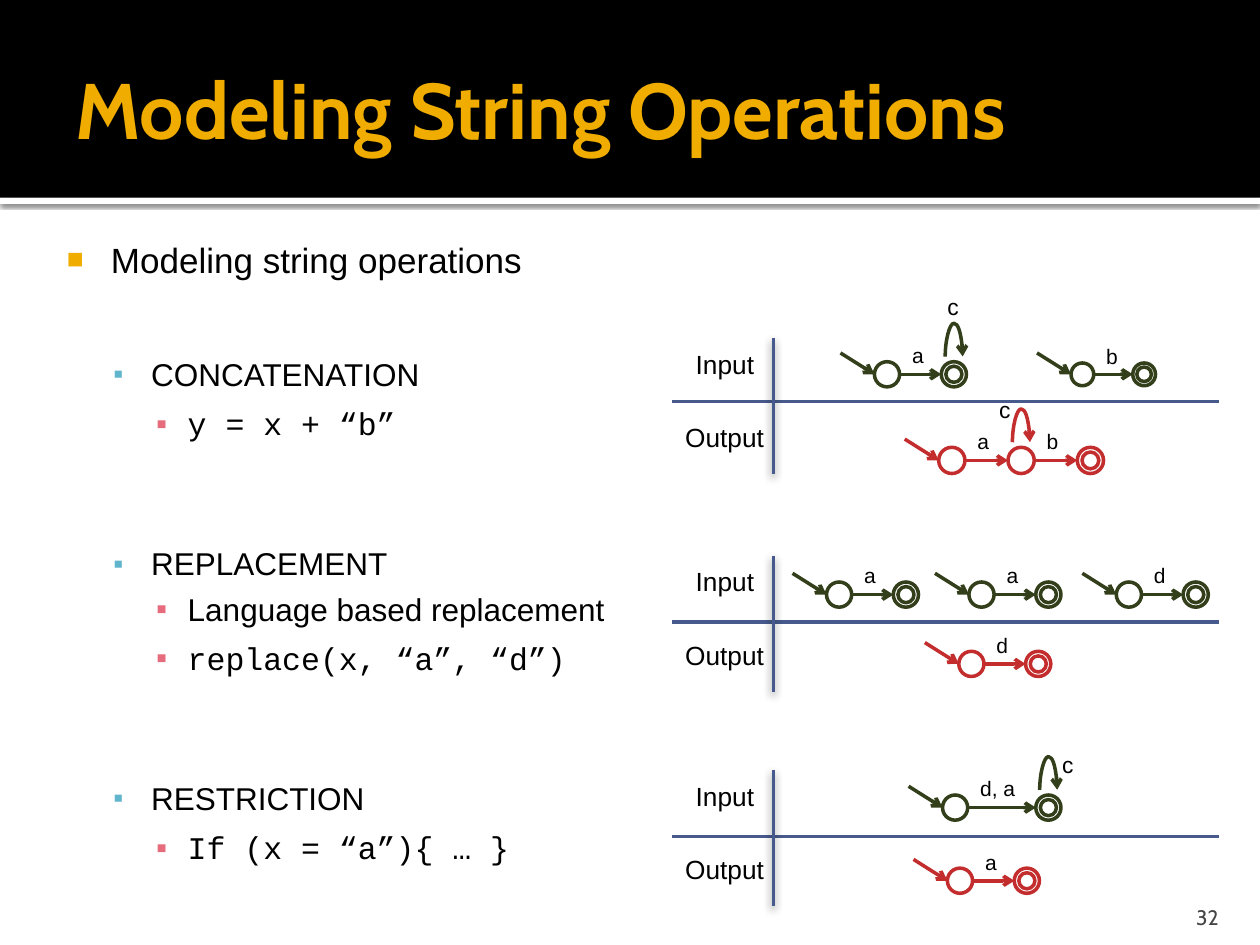
from lxml import etree
from pptx import Presentation
from pptx.dml.color import RGBColor
from pptx.enum.shapes import MSO_CONNECTOR, MSO_SHAPE
from pptx.enum.text import MSO_ANCHOR, PP_ALIGN
from pptx.oxml.ns import qn
from pptx.util import Pt

STRAIGHT, CURVE = MSO_CONNECTOR.STRAIGHT, MSO_CONNECTOR.CURVE
RECTANGLE, OVAL = MSO_SHAPE.RECTANGLE, MSO_SHAPE.OVAL
TOP, MIDDLE, BOTTOM = MSO_ANCHOR.TOP, MSO_ANCHOR.MIDDLE, MSO_ANCHOR.BOTTOM
LEFT, RIGHT = PP_ALIGN.LEFT, PP_ALIGN.RIGHT

BLACK = RGBColor(0x00, 0x00, 0x00)
WHITE = RGBColor(0xFF, 0xFF, 0xFF)
GOLD = RGBColor(0xF0, 0xAD, 0x00)
SKY = RGBColor(0x60, 0xB5, 0xCC)
PINK = RGBColor(0xE6, 0x6C, 0x7D)
NAVY = RGBColor(0x47, 0x5A, 0x8D)
OLIVE = RGBColor(0x33, 0x3F, 0x1A)
RED = RGBColor(0xC3, 0x2D, 0x2E)
GRAY = RGBColor(0x45, 0x45, 0x45)

SANS, MONO, HEADING = "Arial", "Courier New", "Cabin"

LEVELS = [
    (34.6, -25.2, "■", GOLD, 80, 20),
    (57.6, -21.6, "▪", SKY, 90, 18),
    (78.5, -18, "▪", PINK, 100, 18),
]
OUTLINE = [
    (0, "Modeling string operations", SANS, 0),
    (1, "CONCATENATION", SANS, 42.8),
    (2, "y = x + “b”", MONO, 6.5),
    (1, "REPLACEMENT", SANS, 58.5),
    (2, "Language based replacement", SANS, 4.4),
    (2, "replace(x, “a”, “d”)", MONO, 6.5),
    (1, "RESTRICTION", SANS, 58.5),
    (2, "If (x = “a”){ … }", MONO, 6.5),
]
PANELS = [
    (193, 36.5, [
        dict(left=115.7, top=13.7, labels=["a"], color=OLIVE, loop=(-3.6, -43.2)),
        dict(left=228, top=14.4, labels=["b"], color=OLIVE, step=35.3, size=13),
        dict(left=152.4, top=62.6, labels=["a", "b"], color=RED, step=39.6,
             size=15, loop=(-12.2, -33.1)),
    ]),
    (317.5, 38, [
        dict(left=88.3, top=15.1, labels=["a"], color=OLIVE),
        dict(left=169.7, top=15.1, labels=["a"], color=OLIVE),
        dict(left=253.9, top=15.1, labels=["d"], color=OLIVE),
        dict(left=163.9, top=54.7, labels=["d"], color=RED),
    ]),
    (440, 38, [
        dict(left=154.6, top=14.3, labels=["d, a"], color=OLIVE, step=53.3,
             loop=(7.9, -28.8)),
        dict(left=157.4, top=56.1, labels=["a"], color=RED),
    ]),
]


def add_effects(shape, blur=0, distance=0, opacity=0):
    """Give a shape a downward shadow, or none when the opacity is zero."""
    effects = etree.SubElement(shape._element.spPr, qn("a:effectLst"))
    if opacity:
        shadow = etree.SubElement(effects, qn("a:outerShdw"), blurRad=str(Pt(blur)),
                                  dist=str(Pt(distance)), dir="5400000",
                                  algn="t", rotWithShape="0")
        color = etree.SubElement(shadow, qn("a:srgbClr"), val=str(BLACK))
        etree.SubElement(color, qn("a:alpha"), val=str(opacity * 1000))


def add_line(shapes, start, end, color, arrow=False, kind=STRAIGHT, shadow=()):
    """Draw a connector between two points."""
    line = shapes.add_connector(kind, *map(Pt, (*start, *end)))
    line.line.color.rgb = color
    line.line.width = Pt(2)
    if arrow:
        etree.SubElement(line.line._get_or_add_ln(), qn("a:tailEnd"), type="arrow")
    add_effects(line, *shadow)
    return line


def add_text(shapes, box, text, size, font=SANS, color=BLACK, bold=False,
             insets=(7.2, 3.6, 7.2, 3.6), anchor=TOP, align=LEFT):
    """Place one line of styled text in a box."""
    frame = shapes.add_textbox(*map(Pt, box)).text_frame
    frame.word_wrap = True
    frame.vertical_anchor = anchor
    (frame.margin_left, frame.margin_top,
     frame.margin_right, frame.margin_bottom) = map(Pt, insets)
    frame.text = text
    para = frame.paragraphs[0]
    para.alignment = align
    style_runs(para, size, font, color, bold)


def style_runs(para, size, font, color, bold=False):
    """Format every run of a paragraph."""
    for span in para.runs:
        span.font.size = Pt(size)
        span.font.name = font
        span.font.color.rgb = color
        span.font.bold = bold


def add_banner(page, width, height):
    """Draw the black title band with its white lower edge and the title."""
    edge = page.shapes.add_shape(RECTANGLE, 0, Pt(height), Pt(width), Pt(3.6))
    band = page.shapes.add_shape(RECTANGLE, 0, 0, Pt(width), Pt(height))
    for shape, color in ((edge, WHITE), (band, BLACK)):
        shape.fill.solid()
        shape.fill.fore_color.rgb = color
        shape.line.fill.background()
    add_effects(edge, 2.5, 0.8, 60)
    band.shadow.inherit = False
    add_text(page.shapes, (36, 12.2, width - 72, 98.6), "Modeling String Operations",
             45, HEADING, GOLD, True, (7.2, 3.6, 3.6, 3.6), MIDDLE)


def add_outline(page, box):
    """Write the bulleted outline of string operations."""
    frame = page.shapes.add_textbox(*map(Pt, box)).text_frame
    frame.word_wrap = True
    frame.margin_left, frame.margin_top = Pt(4.3), Pt(7.2)
    for index, (level, text, font, gap) in enumerate(OUTLINE):
        para = frame.add_paragraph() if index else frame.paragraphs[0]
        margin, indent, bullet, color, percent, size = LEVELS[level]
        para.text = text
        para.level = level
        para.space_before = Pt(gap)
        style_runs(para, size, font, BLACK)
        props = para._p.get_or_add_pPr()
        props.set("marL", str(Pt(margin)))
        props.set("indent", str(Pt(indent)))
        tint = etree.SubElement(props, qn("a:buClr"))
        etree.SubElement(tint, qn("a:srgbClr"), val=str(color))
        etree.SubElement(props, qn("a:buSzPct"), val=str(percent * 1000))
        etree.SubElement(props, qn("a:buFont"), typeface=SANS)
        etree.SubElement(props, qn("a:buChar"), char=bullet)


def add_state(shapes, left, top, size, color):
    """Draw one state circle."""
    state = shapes.add_shape(OVAL, Pt(left), Pt(top), Pt(size), Pt(size))
    state.fill.solid()
    state.fill.fore_color.rgb = WHITE
    state.line.color.rgb = color
    state.line.width = Pt(2)
    state.shadow.inherit = False


def add_loop(page, left, top, size, color, label_offset):
    """Draw the self transition labelled c above a state."""
    center, middle, half_width, half_height = left + size / 2, top - 2.9, 0.06, 5
    loop = add_line(page.shapes, (center + half_width, middle + half_height),
                    (center - half_width, middle - half_height), color, True, CURVE)
    loop._element.spPr.find(qn("a:xfrm")).set("rot", "5400000")
    geometry = loop._element.spPr.find(qn("a:prstGeom"))
    guides = geometry.find(qn("a:avLst"))
    etree.SubElement(guides, qn("a:gd"), name="adj1", fmla="val 16800000")
    across, down = label_offset
    add_text(page.shapes, (left + across, top + down, 18, 38.9), "c", 13)


def add_automaton(page, left, top, labels, color, step=38.2, size=14.4, loop=None):
    """Draw a chain of states joined by labelled transitions."""
    shapes = page.shapes.add_group_shape().shapes
    middle = top + size / 2
    add_line(shapes, (left - 19.4, middle - 12.2), (left, middle), color, True)
    for index in range(len(labels) + 1):
        add_state(shapes, left + index * step, top, size, color)
    inset = size * 0.18
    add_state(shapes, left + len(labels) * step + inset, top + inset,
              size - 2 * inset, color)
    for index, label in enumerate(labels):
        start = left + index * step + size
        add_line(shapes, (start, middle), (start + step - size, middle), color, True)
        width = 18 if len(label) == 1 else 50
        add_text(shapes, (start, top - 14.4, width, 36), label, 12)
    if loop:
        add_loop(page, left + step, top, size, color, loop)


def add_panel(page, box, split, automata):
    """Draw an input and output panel with its automata."""
    left, top, width, height = box
    add_line(page.shapes, (left, top + split), (left + width, top + split), NAVY)
    add_line(page.shapes, (left + 58, top), (left + 58, top + height), NAVY,
             shadow=(5, 2, 43))
    add_text(page.shapes, (left + 6.5, top + 2.2, 62.6, 25.2), "Input", 15)
    add_text(page.shapes, (left + 0.5, top + 44, 76.3, 25.2), "Output", 15)
    for automaton in automata:
        placed = dict(automaton, left=left + automaton["left"],
                      top=top + automaton["top"])
        add_automaton(page, **placed)


def main():
    """Build the slide and save the deck."""
    deck = Presentation()
    deck.slide_width, deck.slide_height = Pt(720), Pt(540)
    page = deck.slides.add_slide(deck.slide_layouts[6])
    add_banner(page, 720, 113)
    add_outline(page, (24.5, 128.9, 590.4, 378))
    for top, split, automata in PANELS:
        add_panel(page, (384, top, 312.5, 78), split, automata)
    add_text(page.shapes, (645.8, 509.8, 57.6, 21.6), "32", 12, HEADING, GRAY,
             insets=(7.2, 3.6, 7.2, 0), anchor=BOTTOM, align=RIGHT)
    deck.save("out.pptx")


if __name__ == "__main__":
    main()
